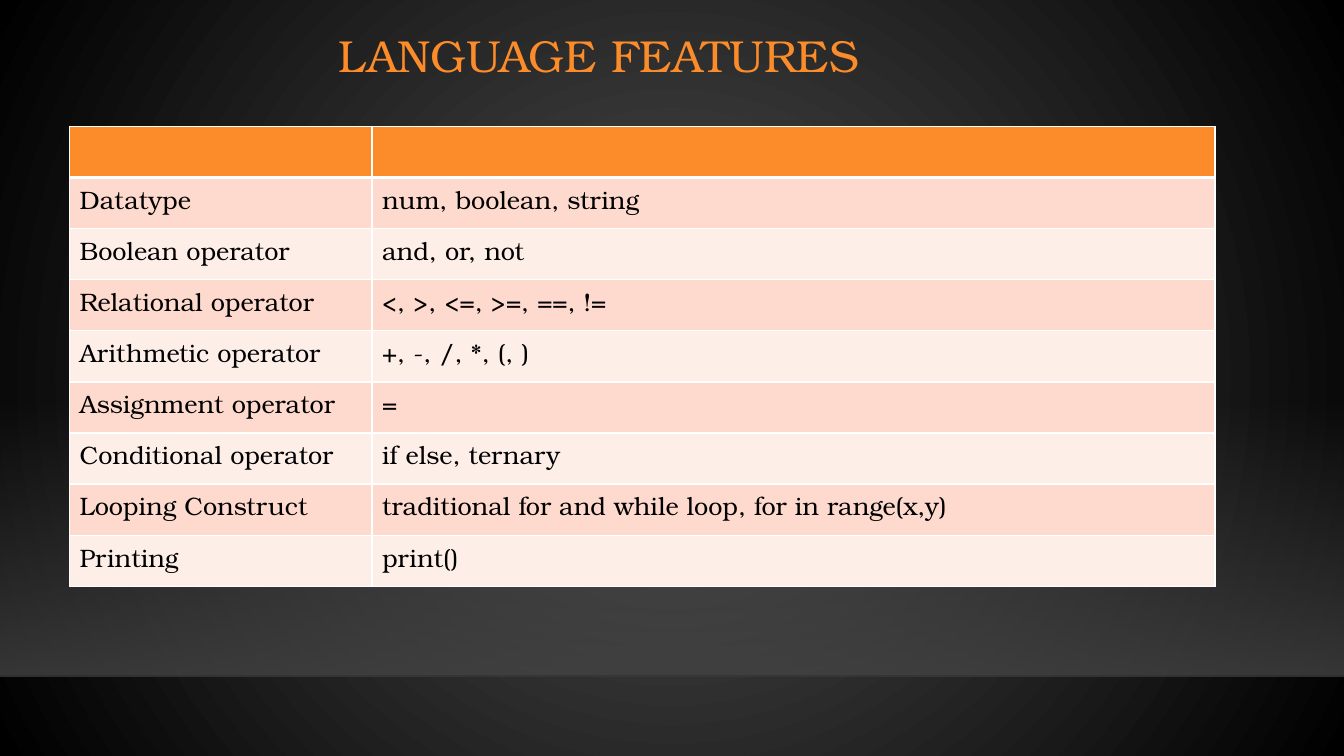
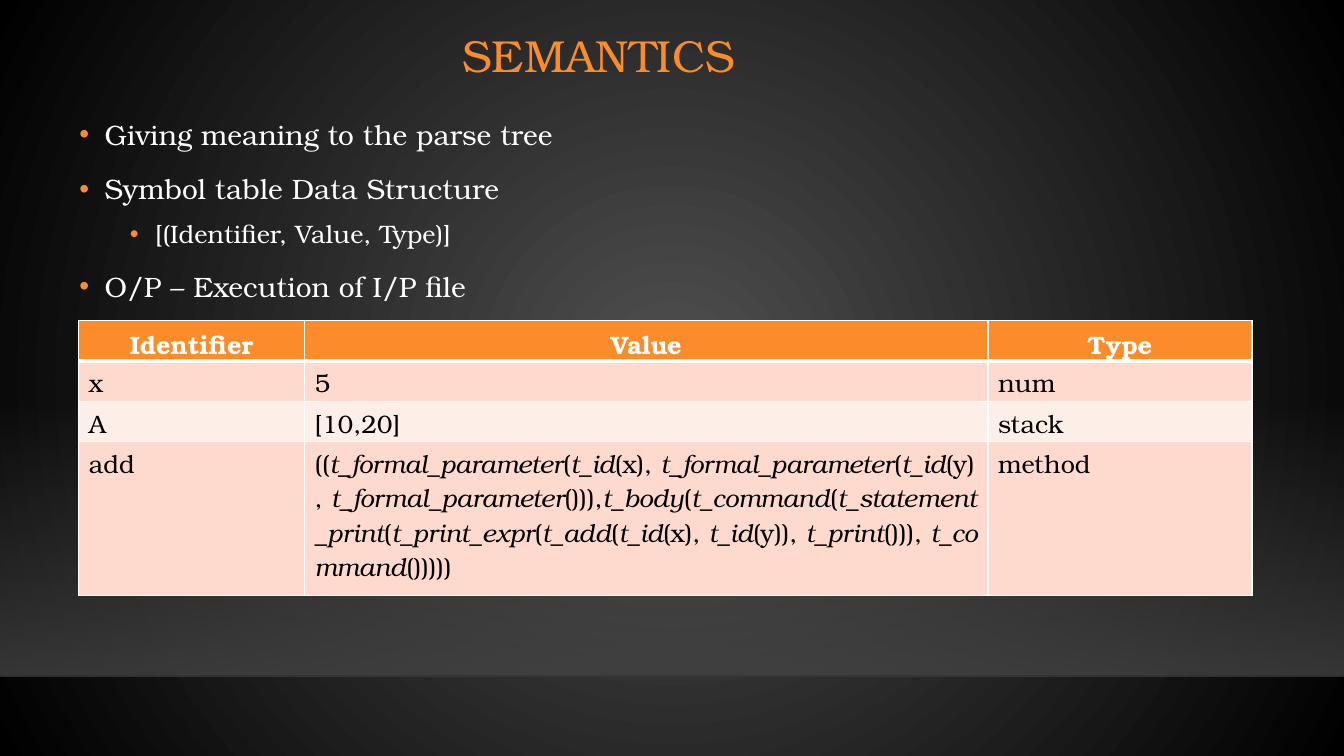
"""Build two dark slides on language features and semantics."""
from dataclasses import dataclass

import pptx
import pptx.dml.color
import pptx.enum.shapes
import pptx.enum.text
import pptx.oxml
import pptx.oxml.ns
import pptx.util
from lxml import etree

Pt = pptx.util.Pt
qn = pptx.oxml.ns.qn
ALIGN = pptx.enum.text.PP_ALIGN
ANCHOR = pptx.enum.text.MSO_ANCHOR


@dataclass(frozen=True)
class Theme:
    font: str = "TeX Gyre Bonum"
    accent: str = "FB8C29"
    light: str = "FFFFFF"
    dark: str = "000000"
    glow: str = "505050"
    floor: str = "454545"
    floor_edge: str = "000001"
    bands: tuple = ("FDDACD", "FEEEE8")
    title_size: int = 32
    body_sizes: tuple = (20, 18)
    cell_size: int = 18
    width: int = 960
    height: int = 540
    margin: float = 49.7
    floor_top: float = 285.3
    floor_bottom: float = 482.9


THEME = Theme()
ITALIC_MARK = "|"
FEATURES = [
    ("", ""),
    ("Datatype", "num, boolean, string"),
    ("Boolean operator", "and, or, not"),
    ("Relational operator", "<, >, <=, >=, ==, !="),
    ("Arithmetic operator", "+, -, /, *, (, )"),
    ("Assignment operator", "="),
    ("Conditional operator", "if else, ternary"),
    ("Looping Construct", "traditional for and while loop, for in range(x,y)"),
    ("Printing", "print()"),
]
POINTS = [
    (0, "Giving meaning to the parse tree"),
    (0, "Symbol table Data Structure"),
    (1, "[(Identifier, Value, Type)]"),
    (0, "O/P – Execution of I/P file"),
]
METHOD_TREE = (
    "((|t_formal_parameter|(|t_id|(x), |t_formal_parameter|(|t_id|(y), "
    "|t_formal_parameter|())),|t_body|(|t_command|(|t_statement_print|("
    "|t_print_expr|(|t_add|(|t_id|(x), |t_id|(y)), |t_print|())), "
    "|t_command|()))))"
).replace(" ", chr(160))
SYMBOLS = [
    ("Identifier", "Value", "Type"),
    ("x", "5", "num"),
    ("A", "[10,20]", "stack"),
    ("add", METHOD_TREE, "method"),
]


def rgb(value):
    return pptx.dml.color.RGBColor.from_string(value)


def apply_format(target, values):
    for attribute, value in values.items():
        setattr(target, attribute, value)


def add_child(parent, tag, **attributes):
    return etree.SubElement(parent, qn(tag), attributes)


def set_alpha(color, percent):
    add_child(color, "a:alpha", val=str(percent * 1000))


def set_gradient(fill, start, end):
    fill.gradient()
    for stop, color, position in zip(fill.gradient_stops, (start, end), (0, 1)):
        stop.color.rgb = rgb(color)
        stop.position = position


def write(paragraph, text, size, color, bold=False):
    for index, part in enumerate(text.split(ITALIC_MARK)):
        run = paragraph.add_run()
        run.text = part
        apply_format(run.font, {"name": THEME.font, "size": Pt(size),
                                "bold": bold, "italic": index % 2 == 1})
        run.font.color.rgb = rgb(color)


def set_background(master):
    set_gradient(master.background.fill, THEME.glow, THEME.dark)
    gradient = next(master.element.iter(qn("a:gradFill")))
    gradient.remove(gradient.find(qn("a:lin")))
    circle = add_child(gradient, "a:path", path="circle")
    add_child(circle, "a:fillToRect", **dict.fromkeys("ltrb", "50000"))


def add_floor(slide):
    floor = slide.shapes.add_shape(
        pptx.enum.shapes.MSO_SHAPE.RECTANGLE, 0, Pt(THEME.floor_top),
        Pt(THEME.width), Pt(THEME.floor_bottom - THEME.floor_top))
    floor.shadow.inherit = False
    floor.line.fill.background()
    set_gradient(floor.fill, THEME.floor, THEME.floor)
    floor.fill.gradient_angle = 270
    for color, percent in zip(floor.element.iter(qn("a:srgbClr")), (0, 80)):
        set_alpha(color, percent)

    edge = slide.shapes.add_connector(
        pptx.enum.shapes.MSO_CONNECTOR.STRAIGHT, 0, Pt(THEME.floor_bottom),
        Pt(THEME.width), Pt(THEME.floor_bottom))
    edge.line.width = Pt(1)
    edge.line.color.rgb = rgb(THEME.floor_edge)
    set_alpha(next(edge.element.iter(qn("a:srgbClr"))), 20)
    add_child(edge.element.spPr, "a:effectLst")


def add_text_frame(slide, top, width, height, anchor):
    box = slide.shapes.add_textbox(
        Pt(THEME.margin), Pt(top), Pt(width), Pt(height))
    apply_format(box.text_frame, {"word_wrap": True, "vertical_anchor": anchor})
    return box.text_frame


def add_title(slide, title):
    frame = add_text_frame(slide, 0, 756, 82.8, ANCHOR.MIDDLE)
    heading = frame.paragraphs[0]
    apply_format(heading, {"alignment": ALIGN.CENTER, "line_spacing": 0.9})
    write(heading, title, THEME.title_size, THEME.accent)


def add_bullets(slide, points):
    frame = add_text_frame(slide, 75.6, 769, 307.4, ANCHOR.TOP)
    for index, (level, text) in enumerate(points):
        point = frame.add_paragraph() if index else frame.paragraphs[0]
        apply_format(point, {"level": level, "line_spacing": 1.2,
                             "space_before": Pt((10, 5)[level])})
        write(point, text, THEME.body_sizes[level], THEME.light)
        properties = point._p.get_or_add_pPr()
        properties.set("marL", str(Pt(18 + 36 * level)))
        properties.set("indent", str(Pt(-18)))
        bullet_color = add_child(properties, "a:buClr")
        add_child(bullet_color, "a:srgbClr", val=THEME.accent)
        add_child(properties, "a:buFont", typeface="Arial")
        add_child(properties, "a:buChar", char="•")


def set_borders(cell, row):
    properties = cell._tc.get_or_add_tcPr()
    widths = {"L": 1, "R": 1, "T": 3 if row == 1 else 1, "B": 3 if row == 0 else 1}
    for side, width in widths.items():
        border = add_child(properties, f"a:ln{side}", w=str(Pt(width)))
        add_child(add_child(border, "a:solidFill"), "a:srgbClr", val=THEME.light)


def fill_cell(cell, row, text):
    is_header = row == 0
    set_borders(cell, row)
    cell.fill.solid()
    cell.fill.fore_color.rgb = rgb(
        THEME.accent if is_header else THEME.bands[(row - 1) % 2])
    if text:
        paragraph = cell.text_frame.paragraphs[0]
        paragraph.alignment = ALIGN.CENTER if is_header else ALIGN.LEFT
        write(paragraph, text, THEME.cell_size,
              THEME.light if is_header else THEME.dark, is_header)


def add_grid(slide, left, top, widths, heights, records):
    grid = slide.shapes.add_table(
        len(heights), len(widths), Pt(left), Pt(top),
        Pt(sum(widths)), Pt(sum(heights))).table
    for column, width in zip(grid.columns, widths):
        column.width = Pt(width)
    for row, (height, record) in enumerate(zip(heights, records)):
        grid.rows[row].height = Pt(height)
        for column, text in enumerate(record):
            fill_cell(grid.cell(row, column), row, text)


def add_slide(deck, title):
    slide = deck.slides.add_slide(deck.slide_layouts[6])
    add_floor(slide)
    add_title(slide, title)
    return slide


def main():
    deck = pptx.Presentation()
    apply_format(deck, {"slide_width": Pt(THEME.width),
                        "slide_height": Pt(THEME.height)})
    set_background(deck.slide_master)

    features = add_slide(deck, "LANGUAGE FEATURES")
    add_grid(features, THEME.margin, 90.4, (216, 602.2),
             [36.5] * len(FEATURES), FEATURES)

    semantics = add_slide(deck, "SEMANTICS")
    add_bullets(semantics, POINTS)
    add_grid(semantics, 56.2, 229, (161.3, 488.2, 188.6),
             (26.6, 26, 26, 110), SYMBOLS)

    deck.save("out.pptx")


if __name__ == "__main__":
    main()
